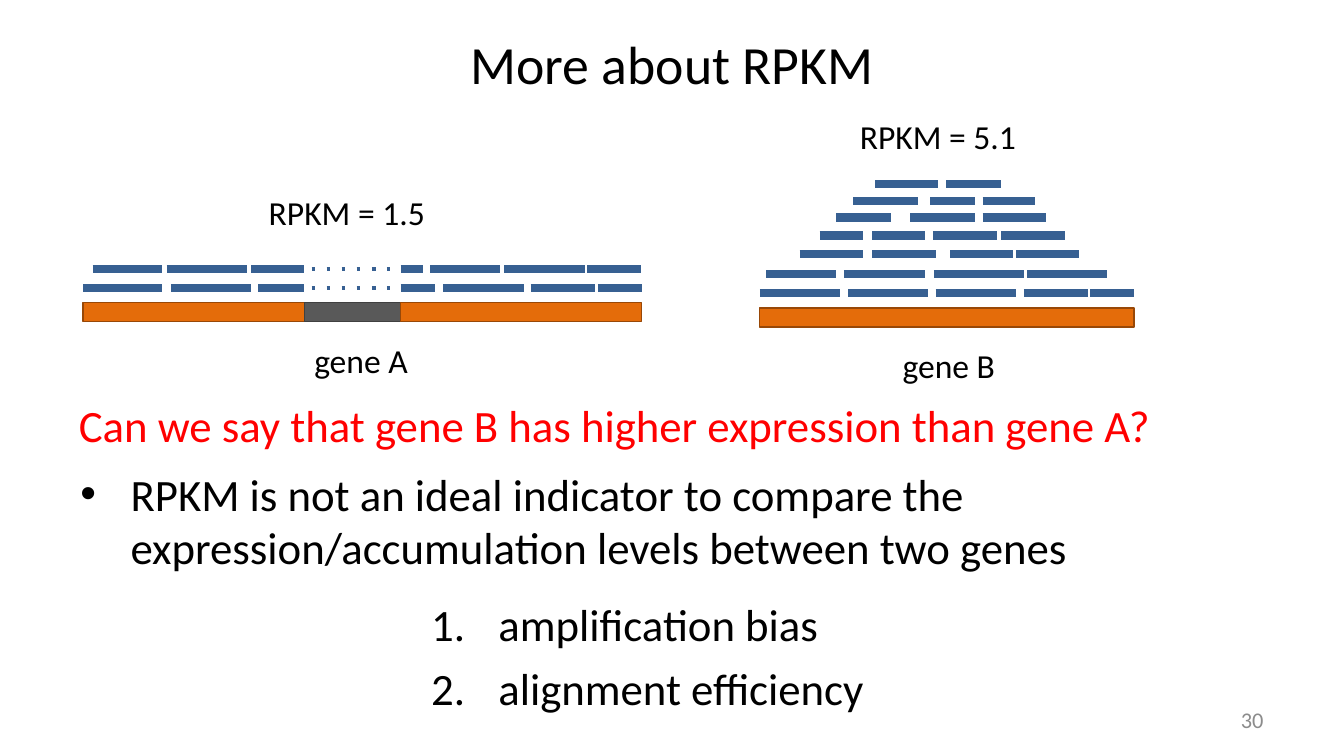
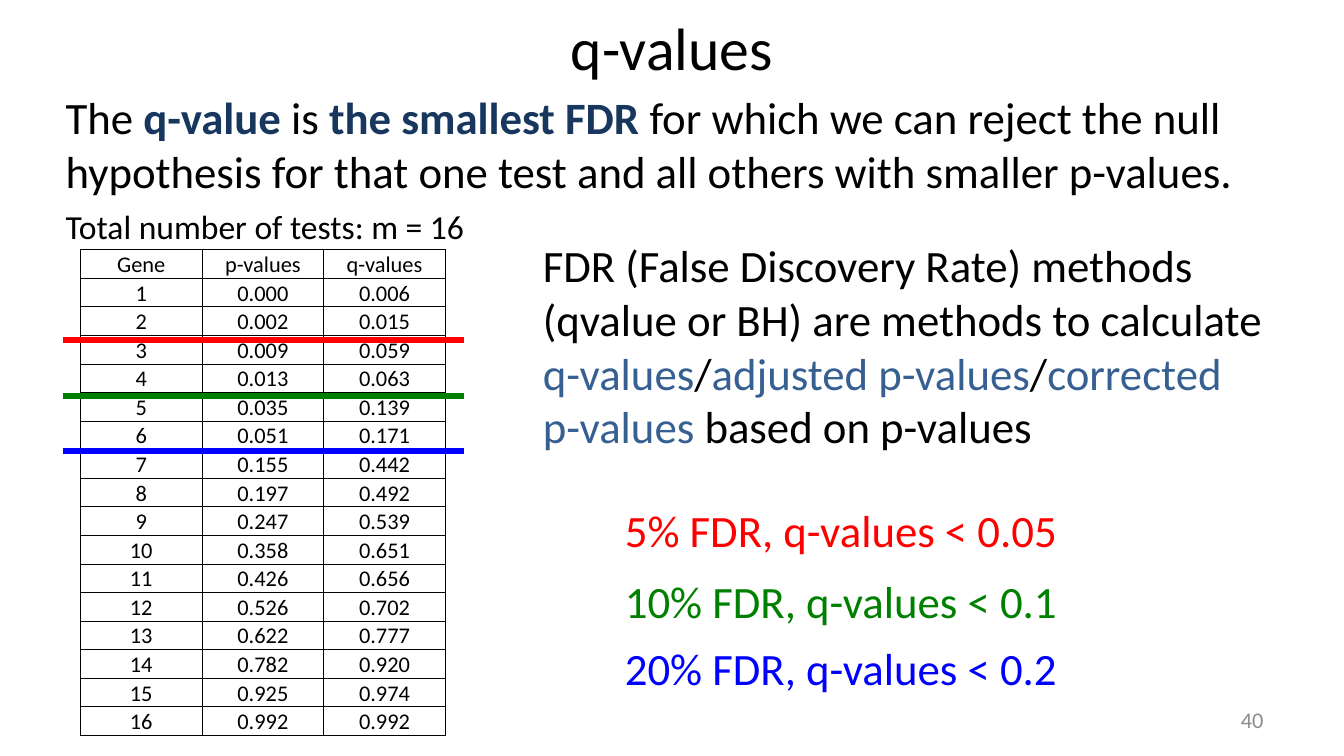
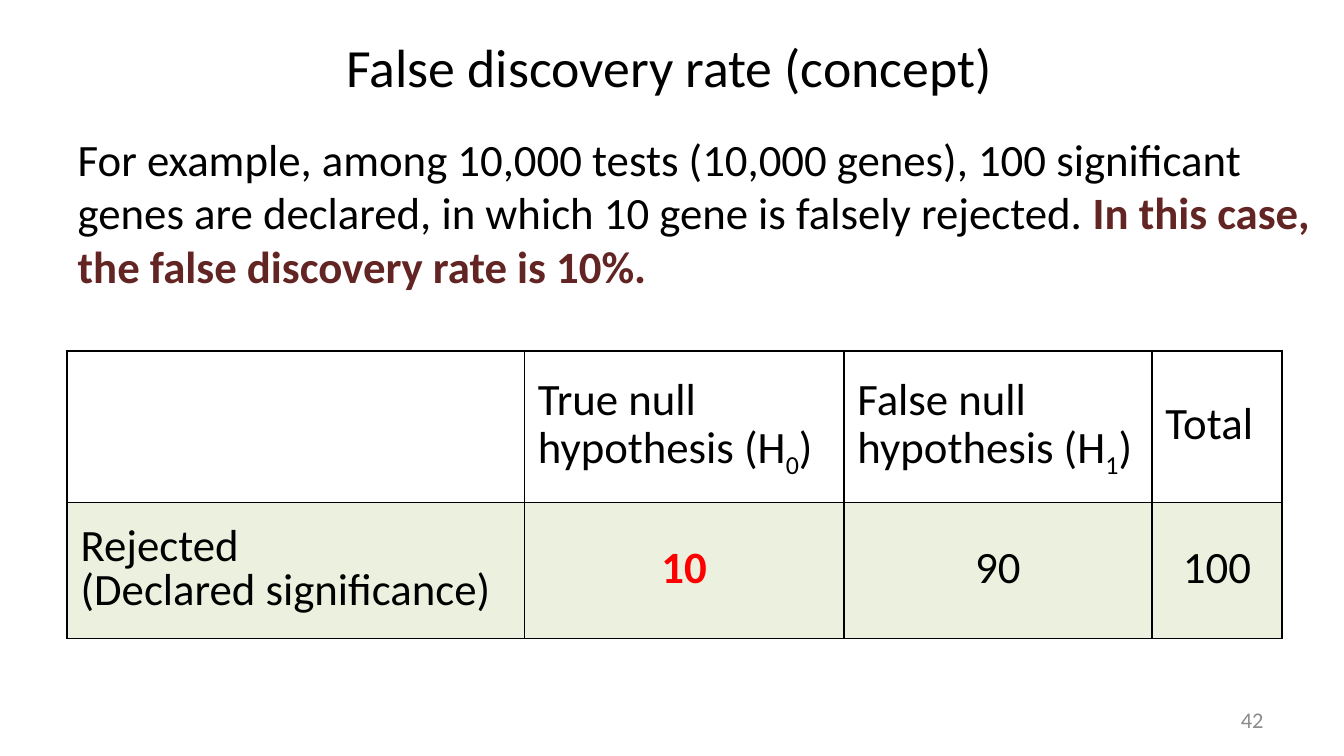
from lxml import etree
from pptx import Presentation
from pptx import util as u
from pptx.dml.color import RGBColor
from pptx.enum import shapes, text
from pptx.oxml import ns

Cm, Pt = u.Cm, u.Pt
FONT = "Calibri"
INK = {
    "black": "000000", "red": "FF0000", "green": "008000", "blue": "0000FF",
    "grey": "8C8C8C", "navy": "17375E", "read": "376092", "wine": "632523",
    "exon": "E46C0A", "edge": "984807", "gap": "595959", "rim": "404040",
    "pale": "EBF1DE",
}
LEFT, MID, RIGHT = text.PP_ALIGN.LEFT, text.PP_ALIGN.CENTER, text.PP_ALIGN.RIGHT
CENTRE, LOW = text.MSO_ANCHOR.MIDDLE, text.MSO_ANCHOR.BOTTOM


def rgb(name):
    return RGBColor.from_string(INK[name])


def sub(parent, tag, **attrs):
    return etree.SubElement(parent, ns.qn(tag), **attrs)


class Deck:
    """Shared style and the slide in hand."""

    def __init__(self):
        self.prs = Presentation()
        self.prs.slide_width, self.prs.slide_height = Cm(25.4), Cm(14.29)
        self.slide = None

    def page(self, title, num, left, top, high, size=28.8):
        self.slide = self.prs.slides.add_slide(self.prs.slide_layouts[5])
        head = self.slide.shapes.title
        head.left, head.top, head.width, head.height = Cm(left), Cm(top), Cm(22.86), Cm(high)
        frame = head.text_frame
        frame.auto_size = text.MSO_AUTO_SIZE.NONE
        frame.vertical_anchor = CENTRE
        self.para(frame.paragraphs[0], title, size, align=MID)
        self.text((18.21, 13.23, 5.92, 0.76), [str(num)], 12, "grey", align=RIGHT, anchor=CENTRE)

    def para(self, par, runs, size, ink="black", align=LEFT, space=None, mark=None, hang=0):
        """Fill a paragraph with a string or with (words, style) runs."""
        par.alignment = align
        if space:
            par.line_spacing = space
        if mark:
            prop = par._p.get_or_add_pPr()
            prop.set("marL", str(Cm(hang)))
            prop.set("indent", str(-Cm(hang)))
            if mark == "1.":
                sub(prop, "a:buAutoNum", type="arabicPeriod")
            else:
                sub(prop, "a:buFont", typeface="Arial")
                sub(prop, "a:buChar", char=mark)
        par.font.name, par.font.size = FONT, Pt(size)
        if isinstance(runs, str):
            par.font.color.rgb = rgb(ink)
            runs = [(runs, {})]
        for words, style in runs:
            run = par.add_run()
            run.text = words
            if "ink" in style:
                run.font.color.rgb = rgb(style["ink"])
            if "bold" in style:
                run.font.bold = style["bold"]
            if "base" in style:
                run._r.get_or_add_rPr().set("baseline", str(style["base"]))

    def fill(self, frame, paras, *args, **style):
        for i, runs in enumerate(paras):
            par = frame.add_paragraph() if i else frame.paragraphs[0]
            self.para(par, runs, *args, **style)

    def text(self, box, paras, size=24, ink="black", wrap=True, anchor=None, **style):
        frame = self.slide.shapes.add_textbox(*map(Cm, box)).text_frame
        frame.word_wrap = wrap
        if anchor:
            frame.vertical_anchor = anchor
        self.fill(frame, paras, size, ink, **style)

    def bar(self, left, top, width, ink, edge):
        box = self.slide.shapes.add_shape(
            shapes.MSO_SHAPE.RECTANGLE, Cm(left), Cm(top), Cm(width), Cm(0.36))
        box.shadow.inherit = False
        box.fill.solid()
        box.fill.fore_color.rgb = rgb(ink)
        box.line.color.rgb = rgb(edge)
        box.line.width = Pt(0.75)

    def line(self, start, end, y, ink, width, dash=None):
        link = self.slide.shapes.add_connector(
            shapes.MSO_CONNECTOR.STRAIGHT, Cm(start), Cm(y), Cm(end), Cm(y))
        link.line.color.rgb = rgb(ink)
        link.line.width = Pt(width)
        prop = link._element.spPr
        if dash:
            sub(prop.find(ns.qn("a:ln")), "a:prstDash", val=dash)
        sub(prop, "a:effectLst")

    def reads(self, rows):
        for y, spans in rows:
            for start, end in spans:
                self.line(start, end, y, "read", 4.5)

    def table(self, left, top, cols, rows):
        grid = self.slide.shapes.add_table(
            len(rows), len(cols), Cm(left), Cm(top), Cm(sum(cols)), Cm(sum(rows))).table
        grid.first_row = grid.horz_banding = False
        for col, width in zip(grid.columns, cols):
            col.width = Cm(width)
        for row, high in zip(grid.rows, rows):
            row.height = Cm(high)
        return grid

    def cell(self, cell, paras, size, border, anchor, ink="black", back=None, **style):
        prop = cell._tc.get_or_add_tcPr()
        for side in "LRTB":
            edge = sub(prop, "a:ln" + side, w=str(Pt(border)))
            sub(sub(edge, "a:solidFill"), "a:srgbClr", val=INK["black"])
        if back:
            cell.fill.solid()
            cell.fill.fore_color.rgb = rgb(back)
        else:
            cell.fill.background()
        cell.vertical_anchor = anchor
        self.fill(cell.text_frame, paras, size, ink, **style)


def rpkm(deck):
    deck.page("More about RPKM", 30, 1.27, 0.51, 1.37)
    deck.text((1.27, 8.69, 22.86, 2.26),
              ["RPKM is not an ideal indicator to compare the "
               "expression/accumulation levels between two genes"], mark="•", hang=0.95)

    # Gene A, shortened in the middle
    for left, width, ink, edge in [(1.57, 4.19, "exon", "edge"), (5.75, 1.82, "gap", "rim"),
                                   (7.57, 4.55, "exon", "edge")]:
        deck.bar(left, 5.72, width, ink, edge)
    deck.reads([
        (5.08, [(1.75, 3.07), (3.15, 4.67), (4.75, 5.74), (7.57, 8), (8.13, 9.45),
                (9.53, 11.05), (11.1, 12.12)]),
        (5.44, [(1.57, 3.07), (3.23, 4.75), (4.88, 5.74), (7.57, 8.23), (8.38, 9.91),
                (10.03, 11.25), (11.3, 12.14)]),
    ])
    for y in (5.08, 5.44):
        deck.line(5.89, 7.37, y, "read", 2, "dot")

    # Gene B, short and deeply covered
    deck.bar(14.36, 5.82, 7.07, "exon", "edge")
    deck.reads([
        (5.54, [(14.36, 15.88), (16.03, 17.53), (17.68, 19.2), (19.35, 20.57), (20.6, 21.44)]),
        (5.18, [(14.48, 15.8), (15.95, 17.48), (17.65, 19.35), (19.41, 20.93)]),
        (4.8, [(15.11, 16.31), (16.48, 17.68), (17.96, 19.15), (19.2, 20.4)]),
        (4.45, [(15.49, 16.31), (16.48, 17.48), (17.63, 18.85), (18.92, 20.12)]),
        (4.11, [(15.8, 16.84), (17.2, 18.42), (18.57, 19.76)]),
        (3.8, [(16.13, 17.35), (17.58, 18.42), (18.57, 19.56)]),
        (3.48, [(16.54, 17.73), (17.88, 18.92)]),
    ])

    # Labels and question
    for left, top, width, label in [(5.69, 6.3, 2.31, "gene A"), (16.81, 6.4, 2.29, "gene B"),
                                    (4.83, 3.51, 3.51, "RPKM = 1.5"),
                                    (16, 2.06, 3.63, "RPKM = 5.1")]:
        deck.text((left, top, width, 1.02), [label], 18, wrap=False)
    deck.text((1.24, 7.39, 20.93, 1.27),
              ["Can we say that gene B has higher expression than gene A?"], ink="red", wrap=False)
    deck.text((7.9, 10.95, 8.79, 2.64), ["amplification bias", "alignment efficiency"],
              wrap=False, space=1.2, mark="1.", hang=1.27)


def qvalues(deck):
    deck.page("q-values", 40, 1.27, 0.1, 1.57, 32)
    plain, key, term = {"ink": "black"}, {"ink": "navy", "bold": True}, {"ink": "read"}
    deck.text((0.99, 1.57, 23.55, 2.26), [[
        ("The ", plain), ("q-value ", key), ("is ", plain), ("the smallest FDR ", key),
        ("for which we can reject the null hypothesis for that one test "
         "and all others with smaller p-values.", plain)]])

    # Gene table
    ps = ("0.000 0.002 0.009 0.013 0.035 0.051 0.155 0.197 "
          "0.247 0.358 0.426 0.526 0.622 0.782 0.925 0.992").split()
    qs = ("0.006 0.015 0.059 0.063 0.139 0.171 0.442 0.492 "
          "0.539 0.651 0.656 0.702 0.777 0.920 0.974 0.992").split()
    rows = [("Gene", "p-values", "q-values")]
    rows += [(str(i), p, q) for i, (p, q) in enumerate(zip(ps, qs), 1)]
    grid = deck.table(1.52, 4.72, [2.3] * 3, [0.54] * len(rows))
    for r, row in enumerate(rows):
        for c, word in enumerate(row):
            cell = grid.cell(r, c)
            cell.margin_left = cell.margin_right = cell.margin_top = Cm(0.03)
            cell.margin_bottom = 0
            deck.cell(cell, [word], 12, 0.5, LOW, align=MID)
    deck.text((0.99, 3.76, 8.15, 1.02), ["Total number of tests: m = 16"], 18, wrap=False)

    # Cut-offs: a rule in the table and its meaning
    for ink, y, top, label in [("red", 6.43, 9.17, "5% FDR, q-values < 0.05"),
                               ("green", 7.49, 10.52, "10% FDR, q-values < 0.1"),
                               ("blue", 8.53, 11.79, "20% FDR, q-values < 0.2")]:
        deck.line(1.19, 8.76, y, ink, 3)
        deck.text((11.56, top, 9.1, 1.45), [label], ink=ink, space=1.2)

    deck.text((10.01, 4.37, 14.12, 4.37), [[
        ("FDR (False Discovery Rate) methods (qvalue or BH) are methods to calculate ", plain),
        ("q-values", term), ("/", plain), ("adjusted p-values", term), ("/", plain),
        ("corrected p-values", term), (" based on p-values", plain)]])


def concept(deck):
    deck.page("False discovery rate (concept)", 42, 1.22, 0.61, 1.27)
    plain = {"ink": "black"}
    deck.text((1.22, 2.36, 24.18, 3.33), [[
        ("For example, among 10,000 tests (10,000 genes), 100 significant genes are declared, "
         "in which 10 gene is falsely rejected. ", plain),
        ("In this case, the false discovery rate is 10%.", {"ink": "wine", "bold": True})]])

    # Table of outcomes
    def null(kind, index):
        return [[(f"{kind} null hypothesis (H", plain),
                 (index, {"ink": "black", "base": -25000}), (")", plain)]]

    rows = [
        [[], null("True", "0"), null("False", "1"), ["Total"]],
        [["Rejected", "(Declared significance)"],
         [[("10", {"ink": "red", "bold": True})]], ["90"], ["100"]],
    ]
    grid = deck.table(1.27, 6.63, [8.64, 6.04, 5.82, 2.46], [2.87, 2.57])
    for r, row in enumerate(rows):
        for c, paras in enumerate(row):
            deck.cell(grid.cell(r, c), paras, 24, 1, CENTRE, back="pale" if r else None,
                      align=MID if r and c else LEFT, space=0.8)


def main():
    deck = Deck()
    for build in (rpkm, qvalues, concept):
        build(deck)
    deck.prs.save("out.pptx")


if __name__ == "__main__":
    main()
